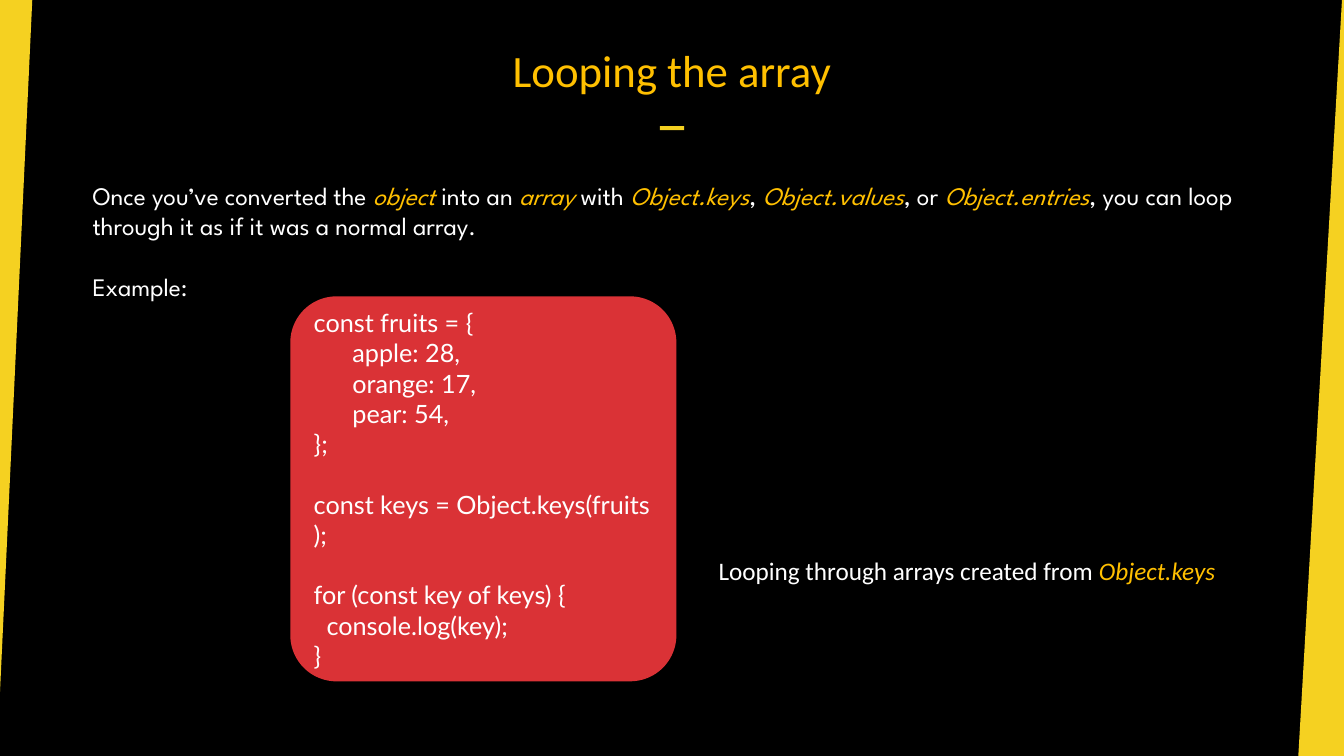
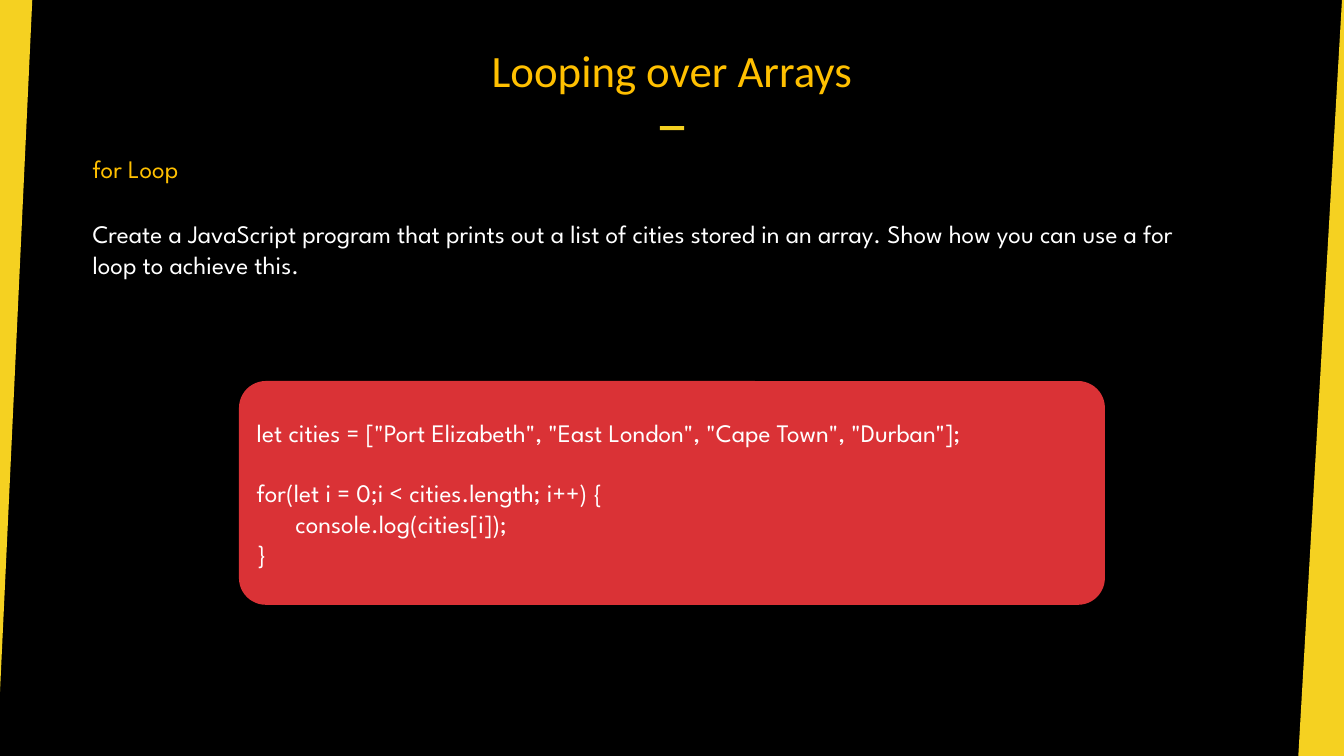
import pptx
import pptx.dml.color
import pptx.enum.shapes
import pptx.enum.text
import pptx.util


class Theme:
    black = pptx.dml.color.RGBColor.from_string("000000")
    white = pptx.dml.color.RGBColor.from_string("FFFFFF")
    gold = pptx.dml.color.RGBColor.from_string("FFC000")
    yellow = pptx.dml.color.RGBColor.from_string("F5D121")
    red = pptx.dml.color.RGBColor.from_string("DA3236")
    title_size = pptx.util.Pt(32)
    body_size = pptx.util.Pt(18)
    line_gap = pptx.util.Pt(21.6)
    indent = pptx.util.Inches(0.064)
    plain, code, display = "Calibri", "Lato", "League Spartan"


prs = pptx.Presentation()
prs.slide_width = pptx.util.Inches(13.33)
prs.slide_height = pptx.util.Inches(7.5)
fill = prs.slide_master.background.fill
fill.solid()
fill.fore_color.rgb = Theme.black


def share(*percents):
    sides = (prs.slide_width, prs.slide_height) * 2
    return [round(side * pct / 100) for side, pct in zip(sides, percents)]


def write(sp, lines, font, size=Theme.body_size, color=Theme.white, align=None):
    tf = sp.text_frame
    for n, (gap, text) in enumerate(lines):
        p = tf.paragraphs[0] if n == 0 else tf.add_paragraph()
        p.alignment = align or pptx.enum.text.PP_ALIGN.LEFT
        p.font.name, p.font.size, p.font.color.rgb = font, size, color
        if gap:
            p.space_before = gap * Theme.line_gap
        depth = len(text) - len(text.lstrip())
        if depth:
            p._p.get_or_add_pPr().set("marL", str(depth * Theme.indent))
        for k, part in enumerate(text.lstrip().split("*")):
            if part:
                r = p.add_run()
                r.text = part
                if k % 2:
                    r.font.italic = True
                    r.font.color.rgb = Theme.gold


bands = [
    [(0, 0), (2.4, 0), (0, 91.5)],
    [(99.85, 0), (100, 0), (100, 100), (96.6, 100)],
]

slides = [
    {
        "title": "Looping the array",
        "texts": [
            ((6.15, 23.2, 89.1, 17.47), True, Theme.display, Theme.white, [
                (0, "Once you’ve converted the *object* into an *array* with *Object.keys*, "
                    "*Object.values*, or *Object.entries*, you can loop through it "
                    "as if it was a normal array."),
                (1, "Example:"),
            ]),
            ((52.73, 72.8, 39, 5.33), False, Theme.plain, Theme.white, [
                (0, "Looping through arrays created from *Object.keys*"),
            ]),
        ],
        "panel": ((21.6, 39.2, 28.73, 50.93), Theme.code, [
            (0, "const fruits = {"),
            (0, "      apple: 28,"),
            (0, "      orange: 17,"),
            (0, "      pear: 54,"),
            (0, "};"),
            (1, "const keys = Object.keys(fruits);"),
            (1, "for (const key of keys) {"),
            (0, "  console.log(key);"),
            (0, "}"),
        ]),
    },
    {
        "title": "Looping over Arrays",
        "texts": [
            ((6.15, 19.6, 8.48, 5.33), False, Theme.display, Theme.gold, [(0, "for Loop")]),
            ((6.15, 28.27, 82.58, 9.47), True, Theme.display, Theme.white, [
                (0, "Create a JavaScript program that prints out a list of cities stored "
                    "in an array. Show how you can use a for loop to achieve this."),
            ]),
        ],
        "panel": ((17.78, 50.4, 64.43, 29.6), Theme.display, [
            (0, 'let cities = ["Port Elizabeth", "East London", "Cape Town", "Durban"];'),
            (1, "for(let i = 0;i < cities.length; i++) {"),
            (0, "      console.log(cities[i]);"),
            (0, "}"),
        ]),
    },
]

for content in slides:
    shapes = prs.slides.add_slide(prs.slide_layouts[6]).shapes
    painted = []
    for corners in bands:
        points = [share(*corner) for corner in corners]
        builder = shapes.build_freeform(*points[0])
        builder.add_line_segments(points[1:])
        painted.append((builder.convert_to_shape(), Theme.yellow))

    rule = shapes.add_shape(pptx.enum.shapes.MSO_SHAPE.RECTANGLE, *share(49.1, 16.67, 1.8, 0.53))
    painted.append((rule, Theme.yellow))

    title = shapes.add_textbox(*share(15.8, 2.8, 68.4, 10))
    tf = title.text_frame
    tf.word_wrap = True
    tf.vertical_anchor = pptx.enum.text.MSO_ANCHOR.BOTTOM
    tf.margin_bottom = 0
    write(title, [(0, content["title"])], Theme.plain, Theme.title_size, Theme.gold,
          pptx.enum.text.PP_ALIGN.CENTER)

    for box, wrap, font, color, lines in content["texts"]:
        sp = shapes.add_textbox(*share(*box))
        sp.text_frame.word_wrap = wrap
        write(sp, lines, font, color=color)

    box, font, lines = content["panel"]
    panel = shapes.add_shape(pptx.enum.shapes.MSO_SHAPE.ROUNDED_RECTANGLE, *share(*box))
    panel.adjustments[0] = 0.12
    panel.text_frame.word_wrap = True
    panel.text_frame.vertical_anchor = pptx.enum.text.MSO_ANCHOR.MIDDLE
    no_break = chr(160)
    indented = [(gap, " " * (len(text) - len(text.lstrip())) + text.lstrip().replace(" ", no_break))
                for gap, text in lines]
    write(panel, indented, font)
    painted.append((panel, Theme.red))

    for sp, color in painted:
        sp.shadow.inherit = False
        sp.fill.solid()
        sp.fill.fore_color.rgb = color
        sp.line.fill.background()

prs.save("out.pptx")
